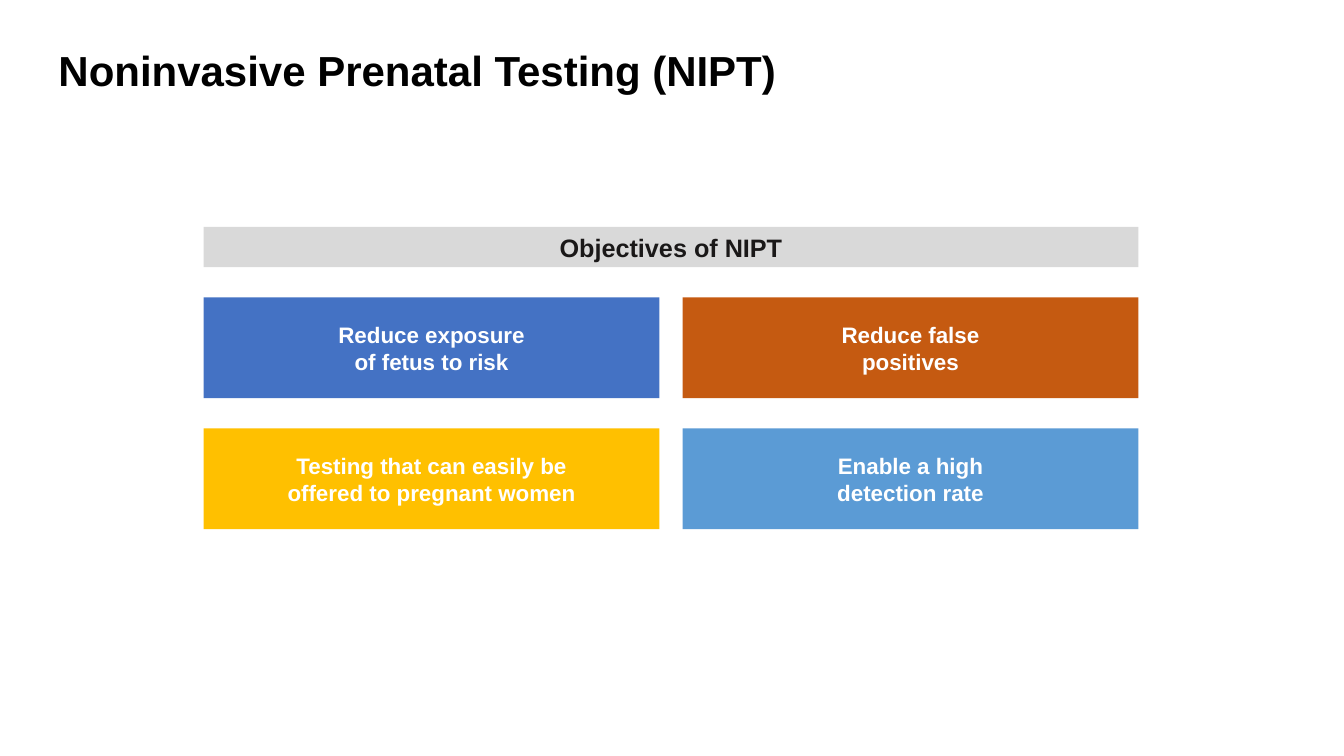
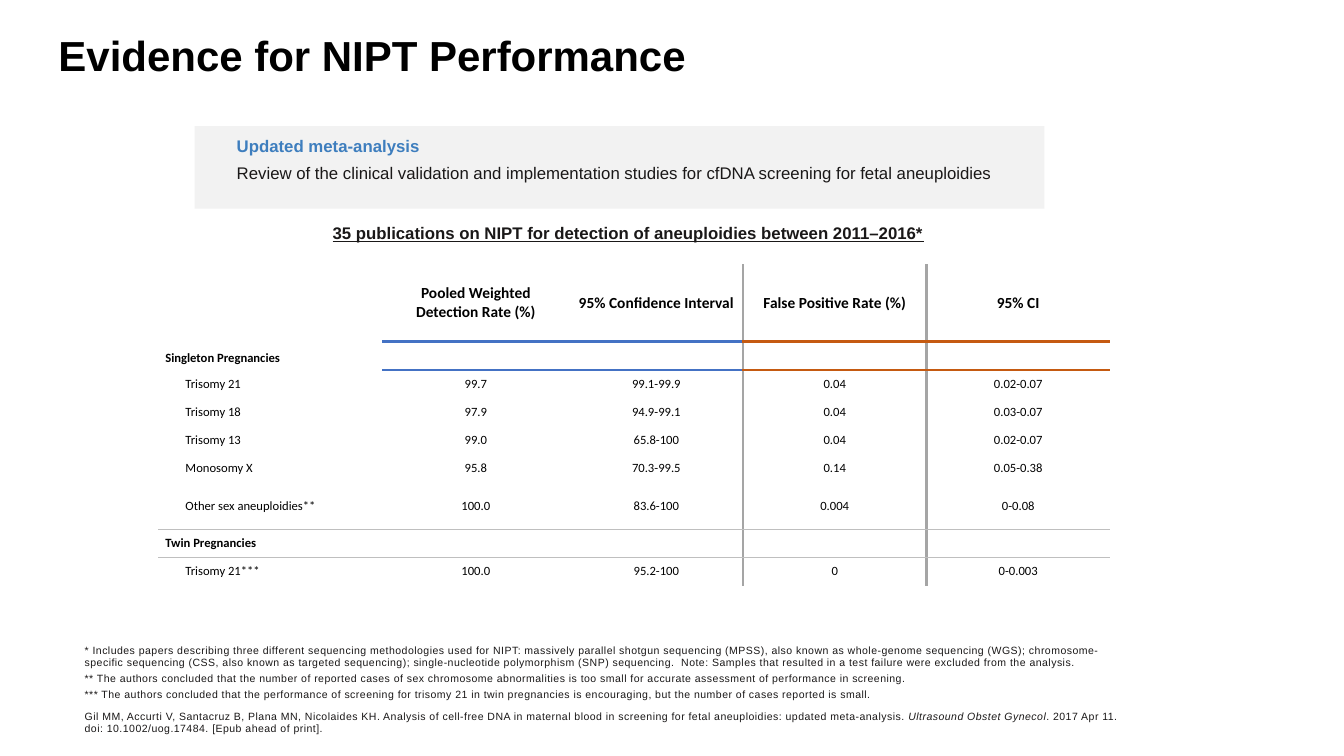
"""Build two slides on noninvasive prenatal testing: its objectives and its evidence."""
from lxml.etree import SubElement
from pptx import Presentation
from pptx.dml.color import RGBColor
from pptx.enum.shapes import MSO_SHAPE as Shape
from pptx.enum.text import MSO_ANCHOR as Anchor, PP_ALIGN as Align
from pptx.oxml.ns import qn
from pptx.util import Inches, Pt

BLACK, INK, WHITE = "000000", "1A1818", "FFFFFF"
BLUE, ORANGE, GOLD, SKY = "4472C4", "C55A11", "FFC000", "5B9BD5"
HEADING_BLUE, BAND_GREY, PANEL_GREY = "3E7EBE", "D9D9D9", "F2F2F2"
DIVIDER_GREY, RULE_GREY = "A5A5A5", "BFBFBF"
NO_GRID_STYLE = "{2D5ABB26-0587-4C30-8999-92F81FD0307C}"


def write(paragraph, text, size=12, color=INK, font="Arial", bold=False, italic=False,
          underline=False, align=Align.LEFT, before=0, after=0, tracking=0):
    """Add text to a paragraph, with a line break at each newline."""
    paragraph.alignment = align
    paragraph.space_before, paragraph.space_after = Pt(before), Pt(after)
    for number, line in enumerate(text.split("\n")):
        if number:
            paragraph.add_line_break()
        run = paragraph.add_run()
        run.text = line
        run.font.name, run.font.size = font, Pt(size)
        run.font.bold, run.font.italic, run.font.underline = bold, italic, underline
        run.font.color.rgb = RGBColor.from_string(color)
        if tracking:
            run.font._element.set("spc", str(round(tracking * 100)))


def add_block(shapes, left, top, width, height, fill=None):
    """Add a filled rectangle, or a text box without a fill, and return its text frame."""
    place = [Inches(length) for length in (left, top, width, height)]
    if fill is None:
        frame = shapes.add_textbox(*place).text_frame
        frame.word_wrap = True
        return frame
    block = shapes.add_shape(Shape.RECTANGLE, *place)
    block.shadow.inherit = False
    block.fill.solid()
    block.fill.fore_color.rgb = RGBColor.from_string(fill)
    block.line.fill.background()
    block.text_frame.vertical_anchor = Anchor.MIDDLE
    block.text_frame.word_wrap = False
    return block.text_frame


deck = Presentation()
deck.slide_width, deck.slide_height = Inches(13.33), Inches(7.5)

slides = []
for heading, title_height in (("Noninvasive Prenatal Testing (NIPT)", 1.05),
                              ("Evidence for NIPT Performance", 0.75)):
    slide = deck.slides.add_slide(deck.slide_layouts[5])
    title = slide.shapes.title
    title.left, title.top = Inches(0.48), Inches(0.2)
    title.width, title.height = Inches(12.36), Inches(title_height)
    title.text_frame.vertical_anchor = Anchor.MIDDLE
    title.text_frame.word_wrap = True
    title.text_frame.paragraphs[0].line_spacing = 0.9
    write(title.text_frame.paragraphs[0], heading, size=30, color=BLACK, bold=True)
    slides.append(slide)
objectives_slide, evidence_slide = slides

grid_left, grid_top, grid_width = 2.02, 2.95, 9.27
card_width, card_height, column_gap, row_gap = 4.52, 1, 0.23, 0.3
band_height = 0.4
band = add_block(objectives_slide.shapes, grid_left, grid_top - row_gap - band_height,
                 grid_width, band_height, BAND_GREY)
write(band.paragraphs[0], "Objectives of NIPT", size=18, bold=True, align=Align.CENTER)

objectives = [
    ("Reduce exposure\nof fetus to risk", BLUE),
    ("Reduce false\npositives", ORANGE),
    ("Testing that can easily be\noffered to pregnant women", GOLD),
    ("Enable a high\ndetection rate", SKY),
]
for number, (objective, fill) in enumerate(objectives):
    row, column = divmod(number, 2)
    card = add_block(objectives_slide.shapes, grid_left + column * (card_width + column_gap),
                     grid_top + row * (card_height + row_gap), card_width, card_height, fill)
    write(card.paragraphs[0], objective, size=16, color=WHITE, bold=True, align=Align.CENTER)

footnotes = add_block(evidence_slide.shapes, 0.77, 6.22, 10.4, 1.11)
footnotes.vertical_anchor = Anchor.BOTTOM
footnotes.margin_left = footnotes.margin_right = Inches(0.07)
footnotes.margin_top = footnotes.margin_bottom = Inches(0.04)
notes = [
    "* Includes papers describing three different sequencing methodologies used for NIPT: "
    "massively parallel shotgun sequencing (MPSS), also known as whole-genome sequencing (WGS); "
    "chromosome-specific sequencing (CSS, also known as targeted sequencing); "
    "single-nucleotide polymorphism (SNP) sequencing.  Note: Samples that resulted in a test "
    "failure were excluded from the analysis.",
    "** The authors concluded that the number of reported cases of sex chromosome "
    "abnormalities is too small for accurate assessment of performance in screening.",
    "*** The authors concluded that the performance of screening for trisomy 21 in twin "
    "pregnancies is encouraging, but the number of cases reported is small.",
]
for number, note in enumerate(notes):
    paragraph = footnotes.add_paragraph() if number else footnotes.paragraphs[0]
    write(paragraph, note, size=7.5, after=2.2, tracking=0.3)
citation = footnotes.add_paragraph()
for part, italic in (
    ("Gil MM, Accurti V, Santacruz B, Plana MN, Nicolaides KH. Analysis of cell-free DNA in "
     "maternal blood in screening for fetal aneuploidies: updated meta-analysis. ", False),
    ("Ultrasound Obstet Gynecol", True),
    (". 2017 Apr 11. doi: 10.1002/uog.17484. [Epub ahead of print].", False),
):
    write(citation, part, size=7.5, italic=italic, before=4.5, tracking=0.3)

publications = add_block(evidence_slide.shapes, 2.73, 2.16, 7, 0.3)
write(publications.paragraphs[0],
      "35 publications on NIPT for detection of aneuploidies between 2011–2016*",
      bold=True, underline=True, align=Align.CENTER)

review = evidence_slide.shapes.add_group_shape().shapes
add_block(review, 1.93, 1.25, 8.43, 0.82, PANEL_GREY)
summary = add_block(review, 2.25, 1.3, 7.77, 0.58)
write(summary.paragraphs[0], "Updated meta-analysis", color=HEADING_BLUE, bold=True, before=4.5)
write(summary.add_paragraph(),
      "Review of the clinical validation and implementation studies for cfDNA screening "
      "for fetal aneuploidies", before=4.5)

results = [
    ["", "Pooled Weighted Detection Rate (%)", "95% Confidence Interval",
     "False Positive Rate (%)", "95% CI"],
    ["Singleton Pregnancies", "", "", "", ""],
    ["Trisomy 21", "99.7", "99.1-99.9", "0.04", "0.02-0.07"],
    ["Trisomy 18", "97.9", "94.9-99.1", "0.04", "0.03-0.07"],
    ["Trisomy 13", "99.0", "65.8-100", "0.04", "0.02-0.07"],
    ["Monosomy X", "95.8", "70.3-99.5", "0.14", "0.05-0.38"],
    ["Other sex aneuploidies**", "100.0", "83.6-100", "0.004", "0-0.08"],
    ["Twin Pregnancies", "", "", "", ""],
    ["Trisomy 21***", "100.0", "95.2-100", "0", "0-0.003"],
]
column_widths = [2.22, 1.86, 1.72, 1.82, 1.82]
row_heights = [0.77] + [0.28] * 5 + [0.46] + [0.28] * 2
table = evidence_slide.shapes.add_table(
    len(results), len(column_widths), Inches(1.57), Inches(2.62),
    Inches(sum(column_widths)), Inches(sum(row_heights))).table
table.first_row = table.horz_banding = False
table._tbl.tblPr.find(qn("a:tableStyleId")).text = NO_GRID_STYLE
for column, width in zip(table.columns, column_widths):
    column.width = Inches(width)
for row, height in zip(table.rows, row_heights):
    row.height = Inches(height)

for r, values in enumerate(results):
    is_group = r in (1, 7)
    for c, value in enumerate(values):
        cell = table.cell(r, c)
        cell.margin_left = cell.margin_right = Inches(0.07)
        cell.margin_top = cell.margin_bottom = Inches(0.04)
        cell.vertical_anchor = Anchor.BOTTOM if r == 1 else Anchor.MIDDLE
        paragraph = cell.text_frame.paragraphs[0]
        if value:
            write(paragraph, value, size=9 if r else 11, color=BLACK, font="Calibri",
                  bold=r == 0 or is_group, align=Align.CENTER if c else Align.LEFT)
        else:
            paragraph._p.get_or_add_endParaRPr().set("sz", "900")
        if c == 0 and r and not is_group:
            paragraph._p.get_or_add_pPr().set("marL", str(Inches(0.2)))

        borders = {}
        if c in (2, 3):
            borders["a:lnR" if c == 2 else "a:lnL"] = DIVIDER_GREY, 2.25
        if r in (0, 1) and c:
            borders["a:lnT" if r else "a:lnB"] = BLUE if c < 3 else ORANGE, 2.25
        if r in (6, 7):
            borders["a:lnB" if r == 6 else "a:lnT"] = RULE_GREY, 1
        for side, (color, weight) in borders.items():
            edge = SubElement(cell._tc.get_or_add_tcPr(), qn(side), w=str(Pt(weight)))
            SubElement(SubElement(edge, qn("a:solidFill")), qn("a:srgbClr"), val=color)
        cell.fill.background()

deck.save("out.pptx")
